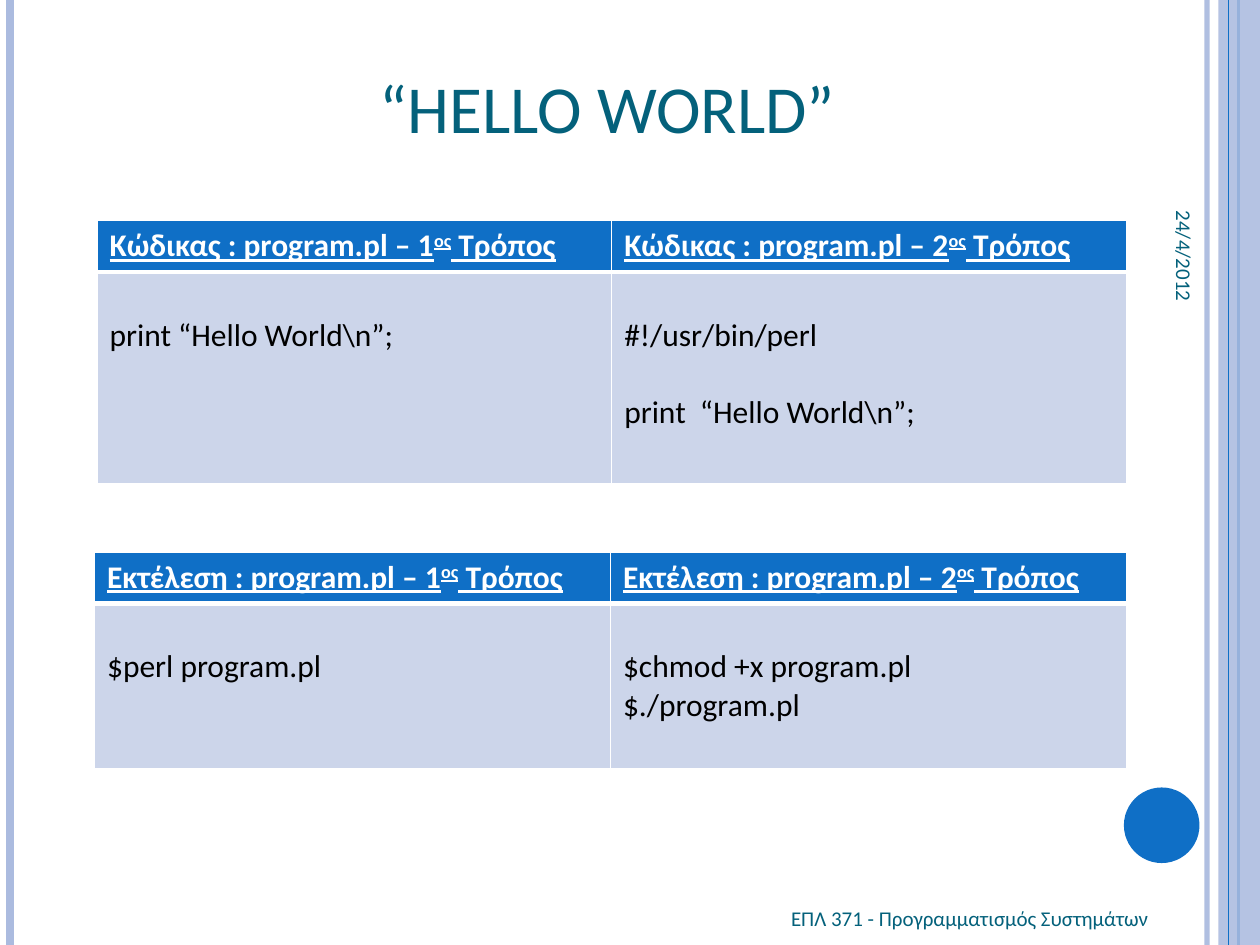
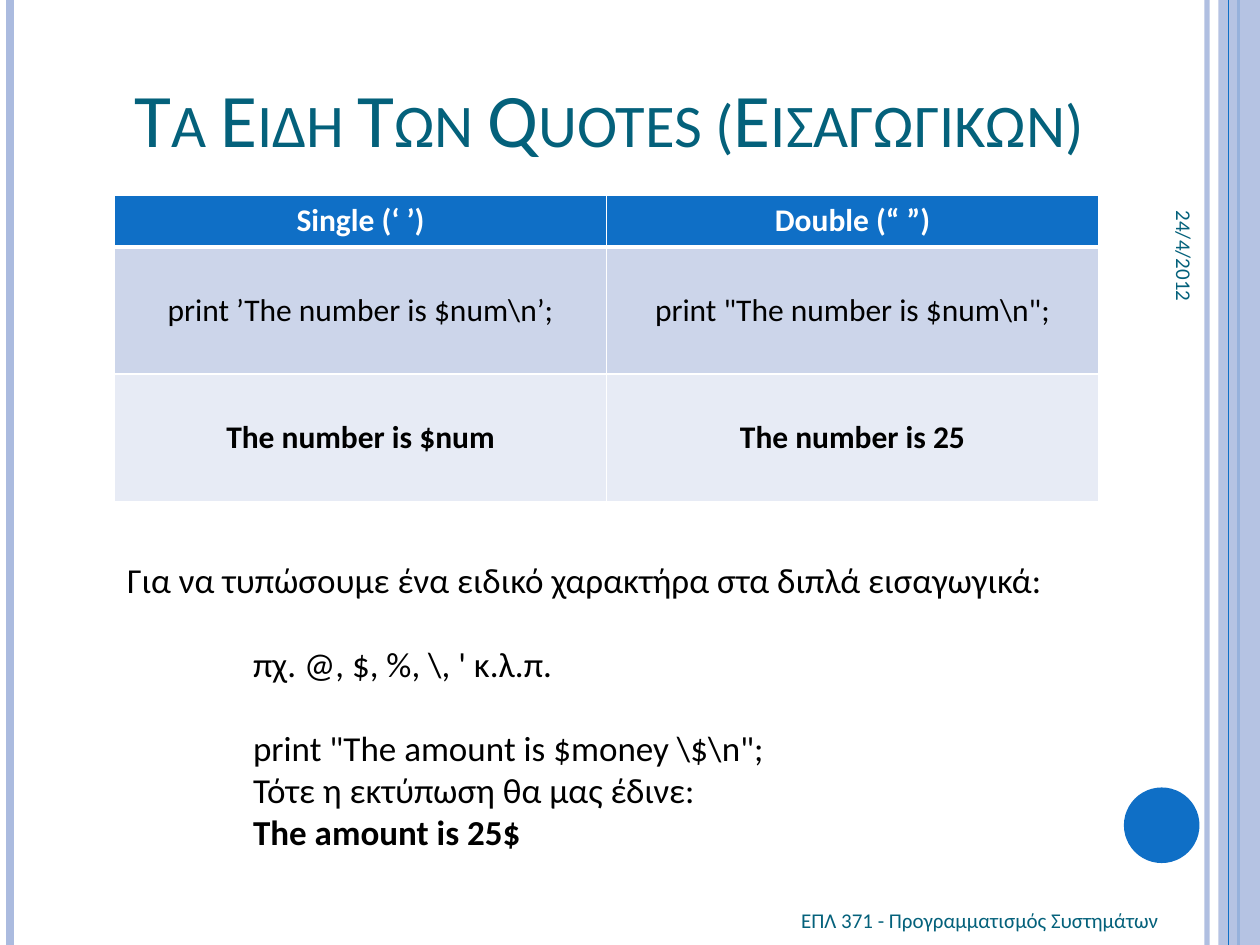
"""Builds two slides on Perl basics: Hello World and the kinds of quotes."""
from dataclasses import dataclass

from lxml.etree import SubElement
from pptx import Presentation
from pptx.dml.color import RGBColor
from pptx.enum.shapes import MSO_CONNECTOR, MSO_SHAPE
from pptx.enum.text import MSO_ANCHOR, PP_ALIGN
from pptx.oxml import parse_xml
from pptx.oxml.ns import nsdecls, qn
from pptx.util import Inches, Pt

FONT = "Calibri"
WHITE = RGBColor(0xFF, 0xFF, 0xFF)
BLACK = RGBColor(0x00, 0x00, 0x00)
TEAL = RGBColor(0x04, 0x61, 0x7B)
BLUE = RGBColor(0x0F, 0x6F, 0xC6)
LAVENDER = RGBColor(0xAB, 0xBB, 0xDF)
BAND_DARK = RGBColor(0xCC, 0xD5, 0xEA)
BAND_LIGHT = RGBColor(0xE7, 0xEB, 0xF5)


@dataclass
class Run:
    """A stretch of text with its own look."""
    text: str
    bold: bool = False
    underline: bool = False
    raised: bool = False
    small_caps: bool = False


@dataclass
class Line:
    """A paragraph: its runs, the points above it and its indent in inches."""
    runs: list
    before: float = 0
    indent: float = 0


class Deck:
    """Holds the presentation, the current slide and the shared style."""

    def __init__(self):
        self.presentation = Presentation()
        self.presentation.slide_width = Inches(10)
        self.presentation.slide_height = Inches(7.5)
        self.slide = None

    def new_slide(self, footer_left, footer_top):
        """Start a slide with its side bands, date and footer."""
        self.slide = self.presentation.slides.add_slide(self.presentation.slide_layouts[6])
        self.rule(9.58, LAVENDER, 3, 93)
        self.rule(0.08, LAVENDER, 4.5)
        self.rule(9.83, BLUE, 1.5)
        self.shape(MSO_SHAPE.RECTANGLE, 9.67, 0, 0.33, 7.5, LAVENDER, 87)
        self.rule(9.75, BLUE, 0.75)
        self.shape(MSO_SHAPE.OVAL, 8.92, 6.25, 0.6, 0.6, BLUE)
        date = self.text(8.3, 1.18, 2.2, 0.42, [Line([Run("24/4/2012")])], 12, TEAL,
                         PP_ALIGN.RIGHT, MSO_ANCHOR.MIDDLE)
        date.rotation = 90
        self.text(footer_left, footer_top, 3.5, 0.4,
                  [Line([Run("ΕΠΛ 371 - Προγραμματισμός Συστημάτων")])], 12, TEAL,
                  anchor=MSO_ANCHOR.MIDDLE)

    def set_opacity(self, element, percent):
        """Make the colour inside an element partly transparent."""
        color = next(element.iter(qn("a:srgbClr")))
        SubElement(color, qn("a:alpha")).set("val", str(percent * 1000))

    def rule(self, x, color, width, opacity=100):
        """Draw a full-height vertical line."""
        connector = self.slide.shapes.add_connector(
            MSO_CONNECTOR.STRAIGHT, Inches(x), 0, Inches(x), Inches(7.5))
        connector.line.color.rgb = color
        connector.line.width = Pt(width)
        properties = connector._element.spPr
        if opacity < 100:
            self.set_opacity(properties, opacity)
        SubElement(properties, qn("a:effectLst"))

    def shape(self, kind, left, top, width, height, color, opacity=100):
        """Draw a filled shape without outline."""
        shape = self.slide.shapes.add_shape(
            kind, Inches(left), Inches(top), Inches(width), Inches(height))
        shape.shadow.inherit = False
        shape.fill.solid()
        shape.fill.fore_color.rgb = color
        shape.line.fill.background()
        if opacity < 100:
            self.set_opacity(shape._element.spPr, opacity)

    def fill_frame(self, frame, lines, size, color, align=PP_ALIGN.LEFT):
        """Fill a text frame line by line and run by run."""
        for index, line in enumerate(lines):
            paragraph = frame.add_paragraph() if index else frame.paragraphs[0]
            paragraph.alignment = align
            if line.before:
                paragraph.space_before = Pt(line.before)
            if line.indent:
                paragraph._p.get_or_add_pPr().set("marL", str(Inches(line.indent)))
            for part in line.runs:
                run = paragraph.add_run()
                run.text = part.text
                run.font.name = FONT
                run.font.size = Pt(size)
                run.font.color.rgb = color
                run.font.bold = part.bold
                run.font.underline = part.underline
                properties = run._r.get_or_add_rPr()
                if part.raised:
                    properties.set("baseline", "30000")
                if part.small_caps:
                    properties.set("cap", "small")

    def text(self, left, top, width, height, lines, size, color,
             align=PP_ALIGN.LEFT, anchor=MSO_ANCHOR.TOP):
        """Add a wrapping text box."""
        box = self.slide.shapes.add_textbox(
            Inches(left), Inches(top), Inches(width), Inches(height))
        box.text_frame.word_wrap = True
        box.text_frame.vertical_anchor = anchor
        self.fill_frame(box.text_frame, lines, size, color, align)
        return box

    def title(self, left, top, width, height, wording, size):
        """Add a centred title in small capitals."""
        self.text(left, top, width, height, [Line([Run(wording, small_caps=True)])],
                  size, TEAL, PP_ALIGN.CENTER, MSO_ANCHOR.BOTTOM)

    def borders(self, cell, top, bottom):
        """Give a cell white borders of the given widths."""
        properties = cell._tc.get_or_add_tcPr()
        for index, (side, width) in enumerate(zip("LRTB", (1, 1, top, bottom))):
            properties.insert(index, parse_xml(
                f'<a:ln{side} {nsdecls("a")} w="{Pt(width)}"><a:solidFill>'
                f'<a:srgbClr val="{WHITE}"/></a:solidFill></a:ln{side}>'))

    def table(self, left, top, width, row_heights, rows, align=PP_ALIGN.LEFT,
              anchor=MSO_ANCHOR.TOP, body_margin=0.05):
        """Add a table with a blue header and banded body rows."""
        columns = len(rows[0])
        table = self.slide.shapes.add_table(
            len(rows), columns, Inches(left), Inches(top),
            Inches(width), Inches(sum(row_heights))).table
        for column in table.columns:
            column.width = Inches(width / columns)
        for index, (height, contents) in enumerate(zip(row_heights, rows)):
            table.rows[index].height = Inches(height)
            for cell, lines in zip(table.rows[index].cells, contents):
                cell.fill.solid()
                cell.fill.fore_color.rgb = (BLUE, BAND_DARK, BAND_LIGHT)[index]
                cell.vertical_anchor = anchor
                cell.margin_top = Inches(body_margin if index else 0.05)
                self.borders(cell, 3 if index == 1 else 1, 1 if index else 3)
                self.fill_frame(cell.text_frame, lines, 18,
                                BLACK if index else WHITE, align)


def way_headers(label):
    """Return the header cells for the first and second way."""
    return [[Line([Run(f"{label} : program.pl – {number}", True, True),
                   Run("ος", True, True, raised=True),
                   Run(" Τρόπος", True, True)])] for number in (1, 2)]


def hello_world(deck):
    """Build the slide with two ways to code and run a program."""
    deck.new_slide(6.18, 7.09)
    deck.title(0.98, 0.21, 7.68, 1.03, "“hello world”", 48)
    code = [[Line([Run(r"print “Hello World\n”;")])],
            [Line([Run("#!/usr/bin/perl")]),
             Line([Run(r"print  “Hello World\n”;")], before=22)]]
    commands = [[Line([Run("$perl program.pl")])],
                [Line([Run("$chmod +x program.pl")]), Line([Run("$./program.pl")])]]
    deck.table(0.77, 1.75, 8.17, (0.41, 1.68), [way_headers("Κώδικας"), code],
               body_margin=0.35)
    deck.table(0.75, 4.38, 8.19, (0.41, 1.31), [way_headers("Εκτέλεση"), commands],
               body_margin=0.35)


def quotes(deck):
    """Build the slide comparing single and double quotes."""
    deck.new_slide(6.26, 7.1)
    deck.title(0.91, 0.36, 7.85, 0.98, "Τα Ειδη Των Quotes (Εισαγωγικων)", 43.2)
    wordings = [("Single (‘ ’)", "Double (“ ”)"),
                (r"print ’The number is $num\n’;", r'print "The number is $num\n";'),
                ("The number is $num", "The number is 25")]
    rows = [[[Line([Run(wording, bold=index != 1)])] for wording in row]
            for index, row in enumerate(wordings)]
    deck.table(0.91, 1.55, 7.81, (0.41, 1.01, 1.01), rows,
               PP_ALIGN.CENTER, MSO_ANCHOR.MIDDLE)
    deck.text(0.91, 4.38, 8.09, 2.79, [
        Line([Run("Για να τυπώσουμε ένα ειδικό χαρακτήρα στα διπλά εισαγωγικά:")]),
        Line([Run(r"πχ. @, $, %, \, ' κ.λ.π.")], before=24, indent=1),
        Line([Run(r'print "The amount is $money \$\n";')], before=24, indent=1),
        Line([Run("Τότε η εκτύπωση θα μας έδινε:")], indent=1),
        Line([Run("The amount is 25$", bold=True)], indent=1),
    ], 20, BLACK)


def main():
    """Build and save the presentation."""
    deck = Deck()
    hello_world(deck)
    quotes(deck)
    deck.presentation.save("out.pptx")


if __name__ == "__main__":
    main()
